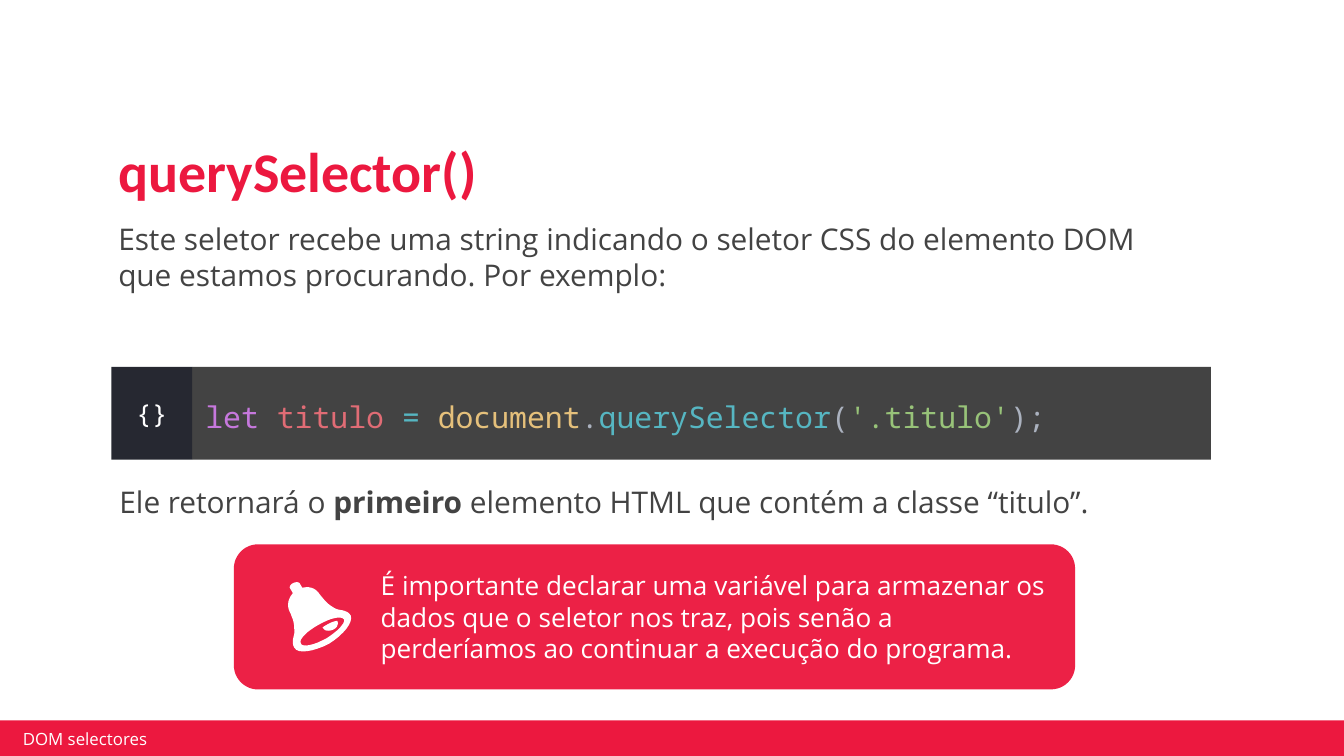
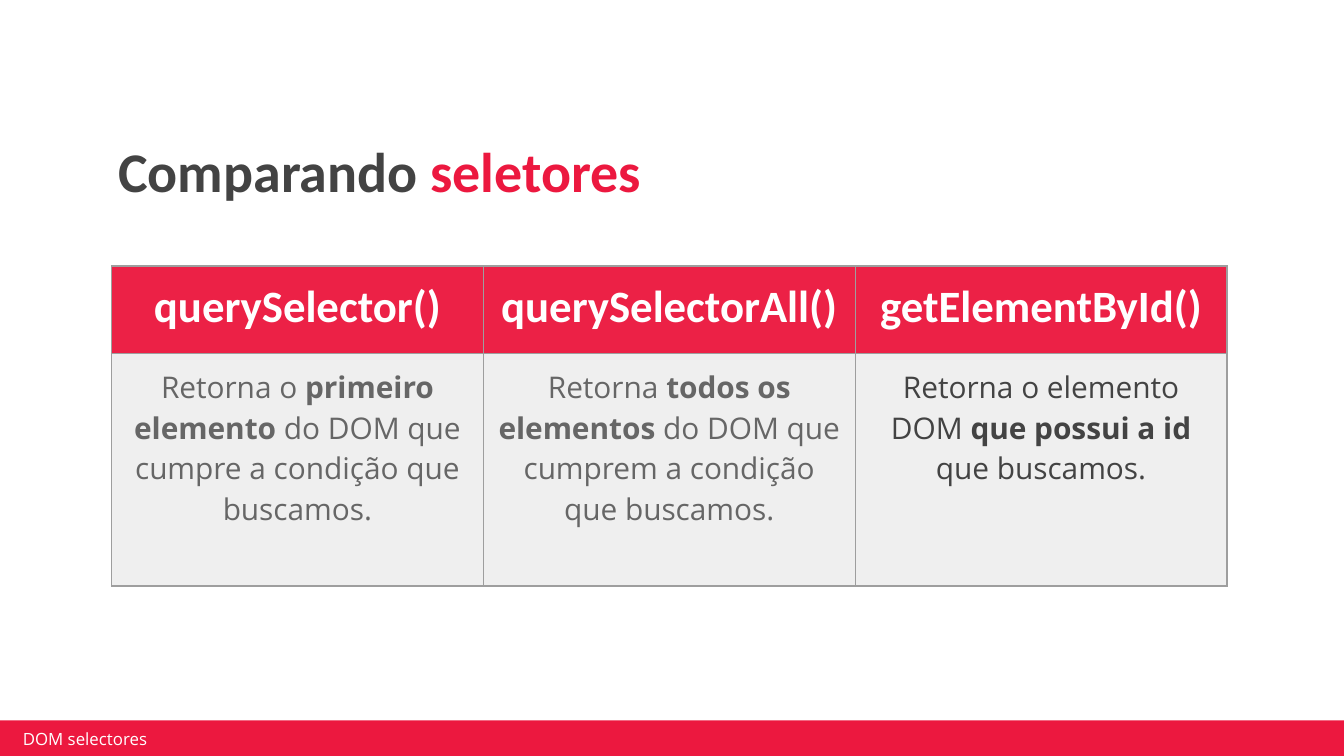
from lxml import etree
from pptx import Presentation
from pptx.dml.color import RGBColor
from pptx.enum.shapes import MSO_SHAPE
from pptx.enum.text import MSO_ANCHOR, MSO_AUTO_SIZE, PP_ALIGN
from pptx.oxml.ns import qn
from pptx.util import Inches, Pt

RECT, ROUND = MSO_SHAPE.RECTANGLE, MSO_SHAPE.ROUNDED_RECTANGLE
TOP, MIDDLE, BOTTOM = MSO_ANCHOR.TOP, MSO_ANCHOR.MIDDLE, MSO_ANCHOR.BOTTOM
LEFT, CENTER = PP_ALIGN.LEFT, PP_ALIGN.CENTER
NO_AUTOFIT = MSO_AUTO_SIZE.NONE

COLORS = {
    "red": "EC183F", "white": "FFFFFF", "dark": "434343", "gray": "666666",
    "cell": "EFEFEF", "border": "9E9E9E", "tab": "262831",
    "purple": "C678DD", "coral": "E06C75", "cyan": "56B6C2",
    "yellow": "E5C07B", "silver": "ABB2BF", "green": "98C379",
}
TITLE = {"name": "Calibri", "size": 30, "bold": True, "color": "dark"}
BODY = {"name": "Open Sans", "size": 16, "bold": False, "color": "dark"}
CODE = {"name": "Noto Sans Mono", "size": 16, "bold": False, "color": "white"}
BOLD = {"bold": True}
INSETS = (0.1, 0.1, 0.1, 0.1)
TITLE_BOX = (0.78, 0.93, 8.43, 0.69)

BELL_HANDLE = [((42, 33), [
    (41, 32, 42, 30, 44, 29), (46, 28, 48, 28, 49, 29),
    (49, 29, 59, 46, 59, 46), (60, 47, 59, 48, 57, 50),
    (55, 51, 52, 51, 52, 50), (52, 50, 42, 33, 42, 33)])]
BELL_BODY = [
    ((69, 70), [
        (60, 75, 51, 77, 50, 74), (48, 71, 54, 65, 63, 60),
        (72, 55, 80, 53, 82, 56), (83, 59, 77, 65, 69, 70)]),
    ((87, 53), [
        (84, 48, 78, 50, 74, 47), (69, 44, 66, 40, 63, 36),
        (59, 31, 53, 31, 47, 34), (42, 37, 39, 43, 41, 49),
        (43, 53, 45, 58, 45, 63), (46, 68, 42, 72, 45, 77),
        (48, 82, 59, 80, 71, 74), (82, 67, 89, 58, 87, 53)])]
BELL_CLAPPER = [((66, 62), [
    (70, 59, 75, 57, 77, 57), (78, 59, 77, 60, 77, 61),
    (75, 64, 71, 65, 68, 64), (67, 63, 66, 62, 66, 62)])]


def rgb(name):
    return RGBColor.from_string(COLORS[name])


def inches(values):
    return [Inches(v) for v in values]


def paint(fill, props, color, alpha=None):
    fill.solid()
    fill.fore_color.rgb = rgb(color)
    if alpha:
        clr = props.find(qn("a:solidFill") + "/" + qn("a:srgbClr"))
        etree.SubElement(clr, qn("a:alpha"), val=str(alpha * 1000))


def write(tf, runs, base, **paragraph):
    p = tf.paragraphs[0]
    settings = {"alignment": LEFT, "space_before": Pt(0), "line_spacing": 1.0}
    for key, value in {**settings, **paragraph}.items():
        setattr(p, key, value)
    for text, changes in runs:
        r = p.add_run()
        r.text = text
        fmt = {**base, **changes}
        r.font.color.rgb = rgb(fmt.pop("color"))
        fmt["size"] = Pt(fmt["size"])
        for key, value in fmt.items():
            setattr(r.font, key, value)
    return p


def frame(sp, anchor=TOP, insets=INSETS):
    tf = sp.text_frame
    settings = {"word_wrap": True, "auto_size": NO_AUTOFIT, "vertical_anchor": anchor}
    sides = ("margin_left", "margin_top", "margin_right", "margin_bottom")
    settings.update(zip(sides, inches(insets)))
    for key, value in settings.items():
        setattr(tf, key, value)
    return tf


def place(sp, box):
    for key, value in zip(("left", "top", "width", "height"), inches(box)):
        setattr(sp, key, value)


def add_box(shapes, kind, box, color, alpha=None):
    sp = shapes.add_shape(kind, *inches(box))
    sp.shadow.inherit = False
    sp.line.fill.background()
    paint(sp.fill, sp._element.spPr, color, alpha)
    return sp


def add_text(s, box, runs, base, anchor=TOP, insets=INSETS, **paragraph):
    sp = s.shapes.add_textbox(*inches(box))
    write(frame(sp, anchor, insets), runs, base, **paragraph)


def add_title(s, runs):
    place(s.shapes.title, TITLE_BOX)
    write(frame(s.shapes.title, BOTTOM), runs, TITLE, line_spacing=0.9)


def add_body(s, box, runs):
    sp = s.placeholders[1]
    place(sp, box)
    p = write(frame(sp), runs, BODY, space_before=Pt(6))
    pPr = p._p.get_or_add_pPr()
    pPr.set("marL", "0")
    pPr.set("indent", "0")
    etree.SubElement(pPr, qn("a:buNone"))


def add_footer(s):
    add_box(s.shapes, RECT, (-0.02, 5.36, 10.03, 0.27), "red")
    add_text(s, (0.12, 5.42, 2.39, 0.15), [("DOM selectores", {})],
             {**BODY, "size": 9, "color": "white"}, MIDDLE, (0.05, 0.02, 0.05, 0.02))


def add_code(s, box, runs, tab=0.6):
    x, y, w, h = box
    shapes = s.shapes.add_group_shape().shapes
    panel = add_box(shapes, RECT, (x + tab, y, w - tab, h), "dark")
    write(frame(panel), runs, CODE, line_spacing=1.5)
    label = add_box(shapes, RECT, (x, y, tab, h), "tab")
    write(frame(label, MIDDLE), [("{}", {"size": 14})], CODE, alignment=CENTER)


def curve_points(start, curves, steps=8):
    x0, y0 = start
    for x1, y1, x2, y2, x3, y3 in curves:
        for i in range(1, steps + 1):
            t = i / steps
            u = 1 - t
            weights = (u ** 3, 3 * u * u * t, 3 * u * t * t, t ** 3)
            yield tuple(sum(k * v for k, v in zip(weights, axis)) * 10
                        for axis in ((x0, x1, x2, x3), (y0, y1, y2, y3)))
        x0, y0 = x3, y3


def add_bell(shapes, x, y):
    for contours in (BELL_HANDLE, BELL_BODY, BELL_CLAPPER):
        first = contours[0][0]
        fb = shapes.build_freeform(first[0] * 10, first[1] * 10, scale=Inches(0.001))
        for i, (start, curves) in enumerate(contours):
            if i:
                fb.move_to(start[0] * 10, start[1] * 10)
            fb.add_line_segments(curve_points(start, curves), close=True)
        sp = fb.convert_to_shape(Inches(x), Inches(y))
        sp.shadow.inherit = False
        sp.line.fill.background()
        paint(sp.fill, sp._element.spPr, "white")


def add_callout(s, box, text):
    shapes = s.shapes.add_group_shape().shapes
    sp = add_box(shapes, ROUND, box, "red", 96)
    sp.adjustments[0] = 0.167
    write(frame(sp, MIDDLE, (1.04, 0.1, 0.1, 0.1)), [(text, {})],
          {**BODY, "size": 14, "color": "white"})
    add_bell(shapes, *box[:2])


def add_borders(tcPr):
    for side in ("lnL", "lnR", "lnT", "lnB"):
        ln = etree.SubElement(tcPr, qn("a:" + side), w=str(Pt(0.75)))
        fill = etree.SubElement(ln, qn("a:solidFill"))
        etree.SubElement(fill, qn("a:srgbClr"), val=COLORS["border"])


def add_comparison(s, box, columns, heights):
    table = s.shapes.add_table(2, len(columns), *inches(box)).table
    table.first_row = table.horz_banding = False
    for row, height in zip(table.rows, heights):
        row.height = Inches(height)
    header = {**TITLE, "size": 24, "color": "white"}
    for c, (name, runs) in enumerate(columns):
        table.columns[c].width = Inches(box[2] / len(columns))
        rows = (([(name, {})], header, "red", 96), (runs, BODY, "cell", None))
        for r, (content, base, color, alpha) in enumerate(rows):
            cell = table.cell(r, c)
            tcPr = cell._tc.get_or_add_tcPr()
            add_borders(tcPr)
            paint(cell.fill, tcPr, color, alpha)
            cell.margin_left = cell.margin_right = Inches(0.1)
            cell.margin_top = cell.margin_bottom = Inches(0.1)
            write(cell.text_frame, content, base, alignment=CENTER)


def query_selector_slide(prs):
    s = prs.slides.add_slide(prs.slide_layouts[1])
    add_footer(s)
    add_title(s, [("querySelector()", {"color": "red"})])
    add_body(s, (0.78, 1.54, 8.04, 1.28), [(
        "Este seletor recebe uma string indicando o seletor CSS do elemento DOM "
        "que estamos procurando. Por exemplo:", {})])
    tokens = [("let ", "purple"), ("titulo ", "coral"), ("= ", "cyan"),
              ("document", "yellow"), (".", "silver"), ("querySelector", "cyan"),
              ("(", "silver"), ("'.titulo'", "green"), (");", "silver")]
    add_code(s, (0.83, 2.73, 8.18, 0.69), [(t, {"color": c}) for t, c in tokens])
    add_text(s, (0.79, 3.5, 8.42, 0.47), [
        ("Ele retornará o ", {}), ("primeiro", BOLD),
        (" elemento HTML que contém a classe “titulo”.", {})],
        BODY, space_before=Pt(6))
    add_callout(s, (1.74, 4.05, 6.26, 1.08),
                "É importante declarar uma variável para armazenar os dados que o seletor "
                "nos traz, pois senão a perderíamos ao continuar a execução do programa.")


def comparison_slide(prs):
    s = prs.slides.add_slide(prs.slide_layouts[5])
    add_footer(s)
    add_title(s, [("Comparando ", {}), ("seletores", {"color": "red"})])
    gray = {"color": "gray"}
    gray_bold = {**gray, **BOLD}
    add_comparison(s, (0.83, 1.98, 8.3, 2.38), [
        ("querySelector()", [
            ("Retorna o ", gray), ("primeiro elemento", gray_bold),
            (" do DOM que cumpre a condição que buscamos.", gray)]),
        ("querySelectorAll()", [
            ("Retorna ", gray), ("todos os elementos ", gray_bold),
            ("do DOM que cumprem a condição que buscamos.", gray)]),
        ("getElementById()", [
            ("Retorna o elemento DOM ", {}), ("que possui a id", BOLD),
            (" que buscamos.", {})]),
    ], (0.65, 1.73))


def main():
    prs = Presentation()
    prs.slide_width = Inches(10)
    prs.slide_height = prs.slide_width * 9 // 16
    query_selector_slide(prs)
    comparison_slide(prs)
    prs.save("out.pptx")


if __name__ == "__main__":
    main()
